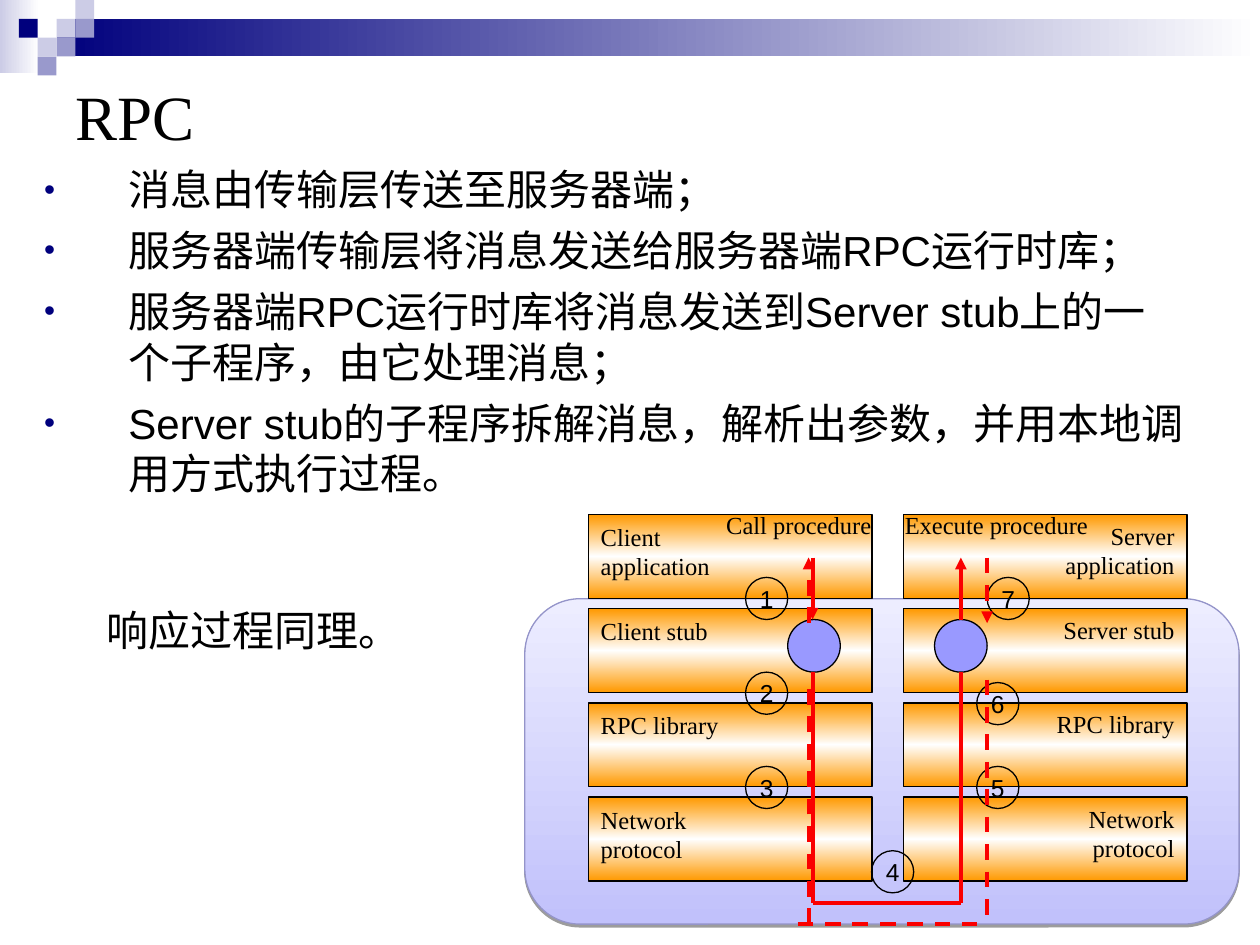
import dataclasses

import lxml.etree
import pptx
import pptx.dml.color
import pptx.enum.dml
import pptx.enum.shapes
import pptx.enum.text
import pptx.oxml.ns
import pptx.util

Cm = pptx.util.Cm
Pt = pptx.util.Pt
qn = pptx.oxml.ns.qn
RGBColor = pptx.dml.color.RGBColor
Shape = pptx.enum.shapes.MSO_SHAPE
Align = pptx.enum.text.PP_ALIGN
Anchor = pptx.enum.text.MSO_ANCHOR
SubElement = lxml.etree.SubElement


@dataclasses.dataclass(frozen=True)
class Theme:
    text: str = "000000"
    navy: str = "00007D"
    violet: str = "9999CC"
    pale: str = "CCCCE6"
    white: str = "FFFFFF"
    orange: str = "FF9900"
    circle: str = "9999FF"
    arrow: str = "FA0000"
    panel_dark: str = "C1C1FB"
    panel_light: str = "EDEDFF"
    panel_line: str = "9494C9"
    serif: str = "Times New Roman"
    sans: str = "Arial"
    title_size: int = 36
    body_size: int = 24
    label_size: int = 14


theme = Theme()
presentation = pptx.Presentation()
presentation.slide_width = Cm(25.4)
presentation.slide_height = Cm(19.05)
slide = presentation.slides.add_slide(presentation.slide_layouts[5])


def add_shape(kind, box, colors=(), angle=0, line=None):
    shape = slide.shapes.add_shape(kind, *[Cm(length) for length in box])
    shape.shadow.inherit = False
    if len(colors) > 1:
        shape.fill.gradient()
        shape.fill.gradient_angle = angle
        stops = shape._element.spPr.find(qn("a:gradFill")).find(qn("a:gsLst"))
        for stop in list(stops):
            stops.remove(stop)
        for index, color in enumerate(colors):
            position = str(100000 * index // (len(colors) - 1))
            stop = SubElement(stops, qn("a:gs"), pos=position)
            SubElement(stop, qn("a:srgbClr"), val=color)
    elif colors:
        shape.fill.solid()
        shape.fill.fore_color.rgb = RGBColor.from_string(colors[0])
    else:
        shape.fill.background()
    if line:
        shape.line.color.rgb = RGBColor.from_string(line)
        shape.line.width = Pt(0.75)
    else:
        shape.line.fill.background()
    return shape


def write(paragraph, text, size, font, align=Align.LEFT):
    paragraph.alignment = align
    run = paragraph.add_run()
    run.text = text
    run.font.size = Pt(size)
    run.font.name = font
    run.font.color.rgb = RGBColor.from_string(theme.text)


add_shape(Shape.RECTANGLE, (0, 0, 0.79, 1.47), (theme.pale, theme.white))
add_shape(Shape.RECTANGLE, (1.14, 0.38, 24.26, 0.76), (theme.navy, theme.white))
tile = 0.38
for column, row, color in [
    (3, 1, theme.pale),
    (4, 0, theme.pale),
    (4, 1, theme.violet),
    (2, 2, theme.pale),
    (1, 1, theme.navy),
    (3, 2, theme.violet),
    (2, 3, theme.violet),
]:
    add_shape(Shape.RECTANGLE, (column * tile, row * tile, tile, tile), (color,))

panel = add_shape(Shape.ROUNDED_RECTANGLE, (10.58, 12.07, 14.4, 6.56),
                  (theme.panel_dark, theme.panel_light), 90, theme.panel_line)
panel.adjustments[0] = 0.17
effects = panel._element.spPr.find(qn("a:effectLst"))
shadow = SubElement(effects, qn("a:outerShdw"), blurRad="0", dist=str(Pt(1.6)), dir="5400000")
shadow_color = SubElement(shadow, qn("a:srgbClr"), val=theme.text)
SubElement(shadow_color, qn("a:alpha"), val="38000")

title = slide.shapes.title
title.left, title.top, title.width, title.height = Cm(1.27), Cm(1.27), Cm(22.86), Cm(2.12)
title.text_frame.vertical_anchor = Anchor.MIDDLE
write(title.text_frame.paragraphs[0], "RPC", theme.title_size, theme.serif)

body = slide.shapes.add_textbox(Cm(0.64), Cm(3.18), Cm(23.5), Cm(13.54)).text_frame
body.word_wrap = True
for index, text in enumerate([
    "消息由传输层传送至服务器端；",
    "服务器端传输层将消息发送给服务器端RPC运行时库；",
    "服务器端RPC运行时库将消息发送到Server stub上的一个子程序，由它处理消息；",
    "Server stub的子程序拆解消息，解析出参数，并用本地调用方式执行过程。",
]):
    paragraph = body.add_paragraph() if index else body.paragraphs[0]
    paragraph.space_before = Pt(6)
    write(paragraph, text, theme.body_size, theme.sans)
    properties = paragraph._p.get_or_add_pPr()
    properties.set("marL", str(Cm(1.7)))
    properties.set("indent", str(-Cm(1.7)))
    bullet_color = SubElement(properties, qn("a:buClr"))
    SubElement(bullet_color, qn("a:srgbClr"), val=theme.navy)
    SubElement(properties, qn("a:buSzPct"), val="75000")
    SubElement(properties, qn("a:buFont"), typeface=theme.sans)
    SubElement(properties, qn("a:buChar"), char="•")

near, far = 0.25, 3
for left, align, margins, layers in [
    (11.86, Align.LEFT, (near, 0.15, far),
     ["Client application", "Client stub", "RPC library", "Network protocol"]),
    (18.21, Align.RIGHT, (far, 0.13, near),
     ["Server application", "Server stub", "RPC library", "Network protocol"]),
]:
    for row, text in enumerate(layers):
        layer = add_shape(Shape.RECTANGLE, (left, 10.37 + row * 1.9, 5.72, 1.69),
                          (theme.orange, theme.white, theme.orange), 270, theme.text)
        frame = layer.text_frame
        frame.margin_left, frame.margin_top, frame.margin_right = [Cm(margin) for margin in margins]
        frame.vertical_anchor = Anchor.TOP
        write(frame.paragraphs[0], text, theme.label_size, theme.serif, align)

for left in (15.88, 18.84):
    add_shape(Shape.OVAL, (left, 12.49, 1.06, 1.06), (theme.circle,), line=theme.text)

for text, left, top, width, height, size, font in [
    ("Call procedure", 14.39, 10.16, 3.6, 0.86, theme.label_size, theme.serif),
    ("Execute procedure", 17.99, 10.16, 4.45, 0.86, theme.label_size, theme.serif),
    ("响应过程同理。", 1.9, 12.07, 7.41, 1.27, theme.body_size, theme.sans),
]:
    label = slide.shapes.add_textbox(Cm(left), Cm(top), Cm(width), Cm(height)).text_frame
    label.word_wrap = True
    write(label.paragraphs[0], text, size, font)

for number, left, top in [
    (1, 15.03, 11.64), (2, 15.03, 13.55), (3, 15.03, 15.45), (4, 17.57, 17.15),
    (5, 19.69, 15.45), (6, 19.69, 13.76), (7, 19.9, 11.64),
]:
    step = add_shape(Shape.OVAL, (left, top, 0.85, 0.85), line=theme.text)
    frame = step.text_frame
    frame.margin_left = frame.margin_right = frame.margin_top = frame.margin_bottom = 0
    frame.word_wrap = False
    frame.vertical_anchor = Anchor.MIDDLE
    write(frame.paragraphs[0], str(number), theme.label_size, theme.sans, Align.CENTER)

for start_x, start_y, end_x, end_y, dashed, arrow in [
    (16.38, 18.2, 19.37, 18.2, False, False),
    (19.37, 18.2, 19.37, 13.55, False, False),
    (19.37, 12.49, 19.37, 11.24, False, True),
    (16.38, 11.24, 16.38, 12.49, False, True),
    (16.38, 13.55, 16.38, 18.2, False, False),
    (19.9, 11.24, 19.9, 12.56, True, True),
    (19.9, 13.7, 19.9, 18.63, True, False),
    (16.3, 18.63, 16.3, 13.7, True, False),
    (16.3, 12.56, 16.3, 11.24, True, True),
    (16.08, 18.63, 19.69, 18.63, True, False),
]:
    connector = slide.shapes.add_connector(pptx.enum.shapes.MSO_CONNECTOR.STRAIGHT,
                                           Cm(start_x), Cm(start_y), Cm(end_x), Cm(end_y))
    connector.line.color.rgb = RGBColor.from_string(theme.arrow)
    connector.line.width = Pt(2.25)
    if dashed:
        connector.line.dash_style = pptx.enum.dml.MSO_LINE.DASH
    if arrow:
        SubElement(connector.line._get_or_add_ln(), qn("a:tailEnd"), type="triangle")
    SubElement(connector._element.spPr, qn("a:effectLst"))

presentation.save("out.pptx")
